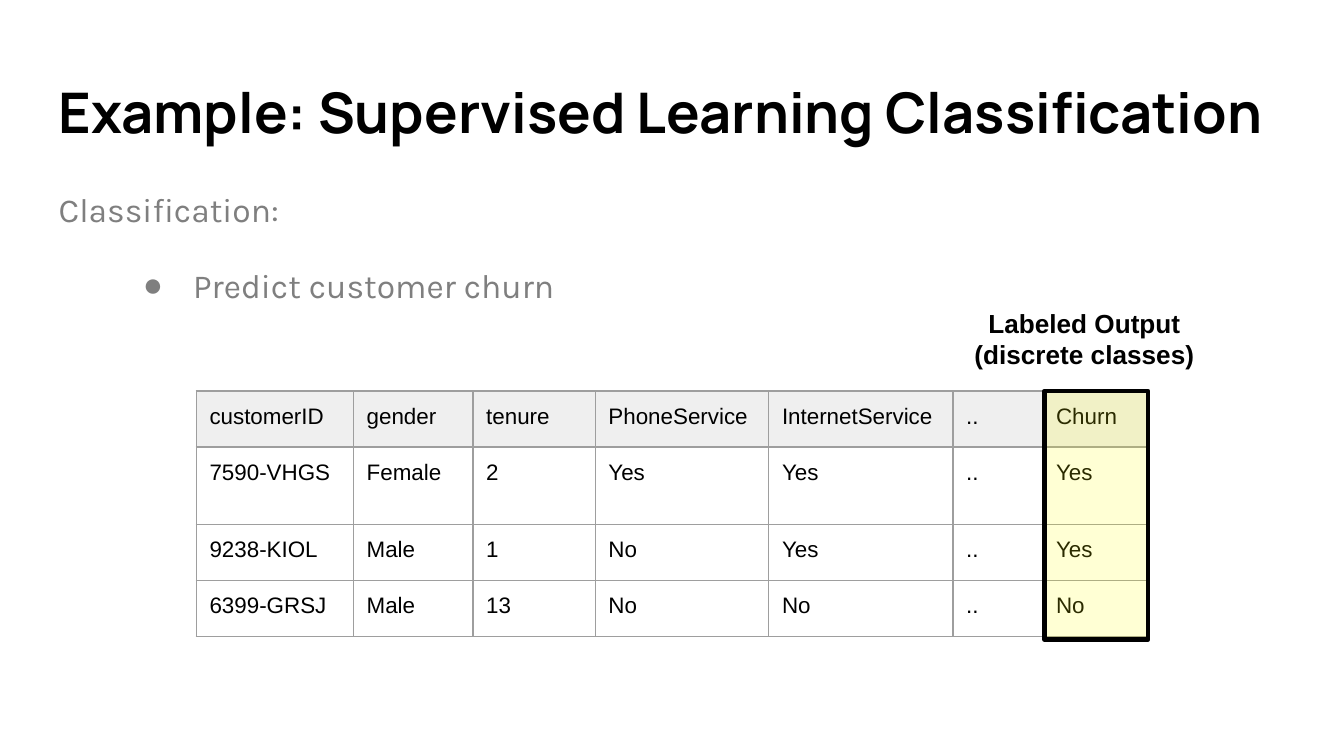
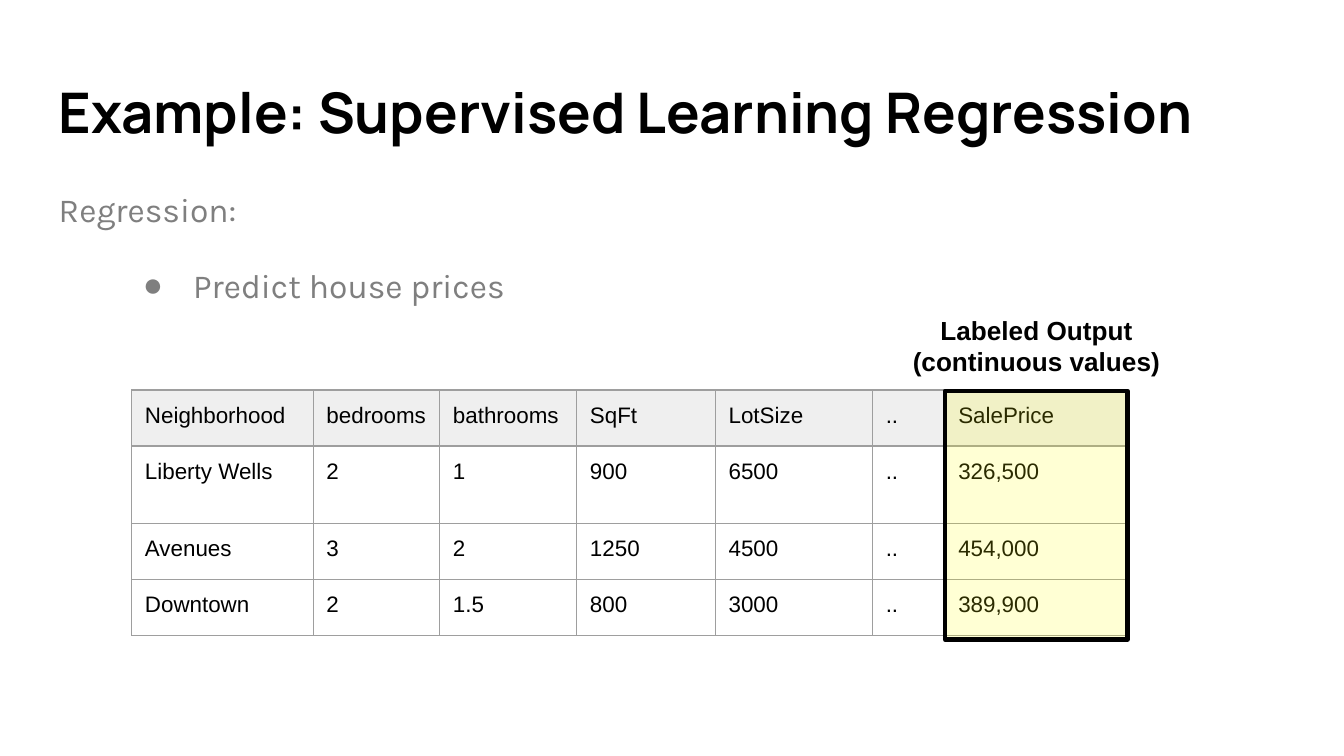
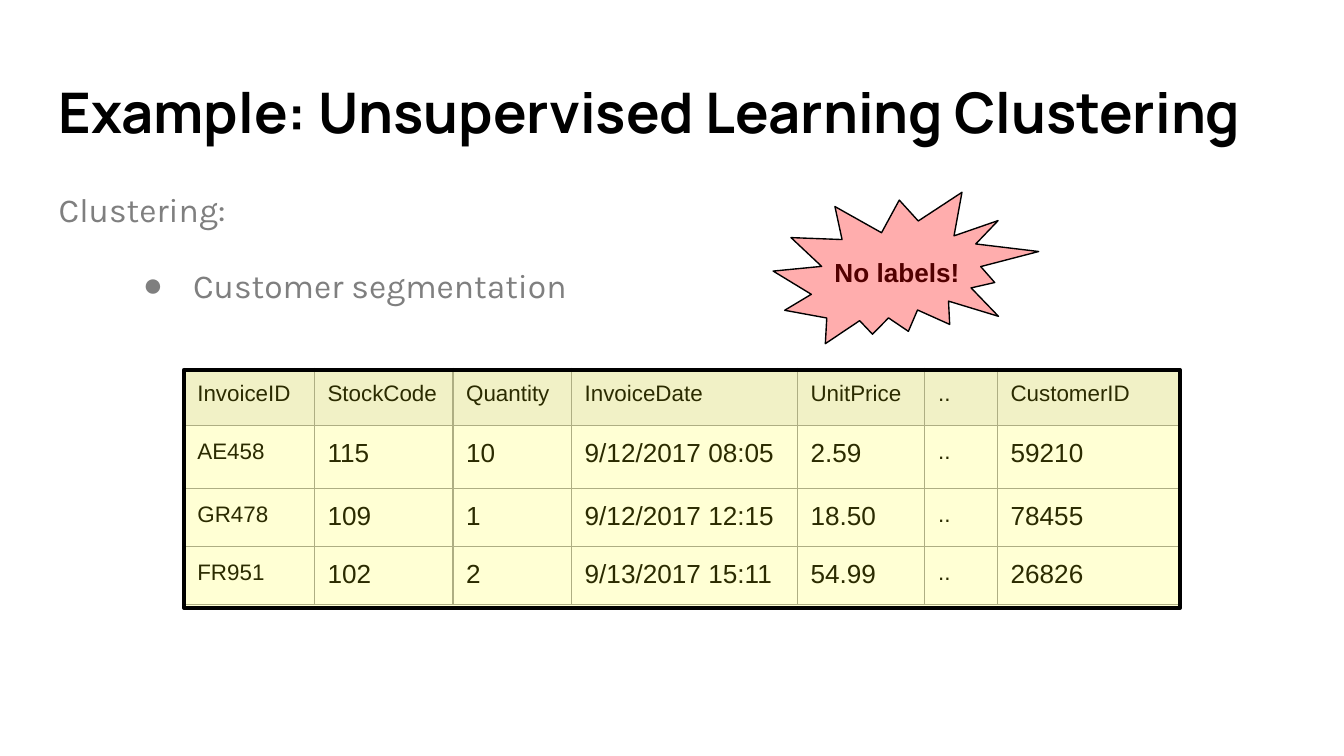
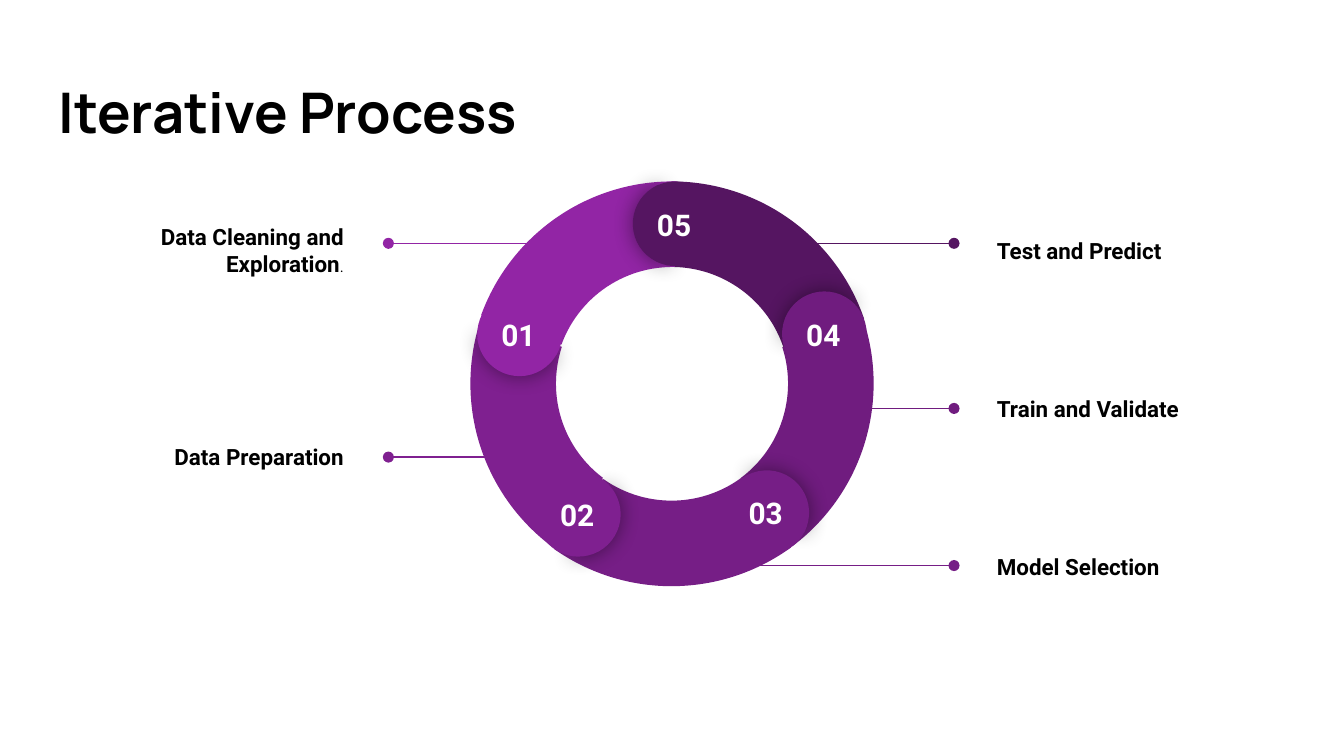
"""Build four slides on learning types and the iterative process."""
import lxml.etree
import pptx
import pptx.dml.color
import pptx.enum.dml
import pptx.enum.shapes
import pptx.enum.text
import pptx.oxml.ns
import pptx.util

Cm = pptx.util.Cm
Pt = pptx.util.Pt
RGB = pptx.dml.color.RGBColor.from_string
Shape = pptx.enum.shapes.MSO_SHAPE
Align = pptx.enum.text.PP_ALIGN
Anchor = pptx.enum.text.MSO_ANCHOR
qn = pptx.oxml.ns.qn
sub = lxml.etree.SubElement

theme = {
    "black": "000000", "white": "FFFFFF", "grey": "7F7F7F",
    "head": "EFEFEF", "grid": "9E9E9E", "mark": "FFFF00", "burst": "FF0000",
    "steps": ["9225A5", "7F2090", "761E86", "701C7F", "551561"],
    "title": (30, "Manrope", "000000", True),
    "body": (18, "Karla", "7F7F7F", False),
    "cell": (12, "Arial", "000000", False),
    "large": (14, "Arial", "000000", False),
    "label": (14, "Arial", "000000", True),
    "step": (12, "Roboto", "000000", True),
    "dot": (8, "Roboto", "000000", False),
    "count": (16, "Roboto", "FFFFFF", True),
}


def box(left, top, width, height):
    return Cm(left), Cm(top), Cm(width), Cm(height)


def write(frame, text, kind, align=Align.LEFT, anchor=Anchor.TOP):
    size, face, color, bold = theme[kind]
    frame.text = text
    frame.word_wrap = True
    frame.auto_size = pptx.enum.text.MSO_AUTO_SIZE.NONE
    frame.vertical_anchor = anchor
    frame.margin_left = frame.margin_right = Cm(0.25)
    frame.margin_top = frame.margin_bottom = Cm(0.25)
    for para in frame.paragraphs:
        para.alignment = align
        for run in para.runs:
            run.font.size = Pt(size)
            run.font.name = face
            run.font.bold = bold
            run.font.color.rgb = RGB(color)


deck = pptx.Presentation()
deck.slide_width, deck.slide_height = Cm(25.4), Cm(14.29)

lessons = [
    {
        "title": "Example: Supervised Learning Classification",
        "body": "Classification:\nPredict customer churn",
        "at": (3.71, 7.39),
        "cols": [2.97, 2.26, 2.31, 3.28, 3.48, 1.7, 1.96],
        "rows": [1.06, 1.46, 1.06, 1.06],
        "data": [
            ["customerID", "gender", "tenure", "PhoneService", "InternetService", "..", "Churn"],
            ["7590-VHGS", "Female", "2", "Yes", "Yes", "..", "Yes"],
            ["9238-KIOL", "Male", "1", "No", "Yes", "..", "Yes"],
            ["6399-GRSJ", "Male", "13", "No", "No", "..", "No"],
        ],
        "large": [],
        "mark": (19.74, 7.39, 1.96, 4.7),
        "label": "Labeled Output\n(discrete classes)",
        "place": (18.03, 5.56, 4.93, 1.45),
        "align": Align.CENTER,
    },
    {
        "title": "Example: Supervised Learning Regression",
        "body": "Regression:\nPredict house prices",
        "at": (2.49, 7.37),
        "cols": [3.43, 2.39, 2.59, 2.62, 2.97, 1.37, 3.45],
        "rows": [1.06, 1.46, 1.06, 1.06],
        "data": [
            ["Neighborhood", "bedrooms", "bathrooms", "SqFt", "LotSize", "..", "SalePrice"],
            ["Liberty Wells", "2", "1", "900", "6500", "..", "326,500"],
            ["Avenues", "3", "2", "1250", "4500", "..", "454,000"],
            ["Downtown", "2", "1.5", "800", "3000", "..", "389,900"],
        ],
        "large": [],
        "mark": (17.86, 7.39, 3.45, 4.7),
        "label": "Labeled Output\n(continuous values)",
        "place": (16.81, 5.69, 5.56, 1.45),
        "align": Align.CENTER,
    },
    {
        "title": "Example: Unsupervised Learning Clustering",
        "body": "Clustering:\nCustomer segmentation",
        "at": (3.48, 6.96),
        "cols": [2.46, 2.62, 2.24, 4.27, 2.41, 1.37, 3.45],
        "rows": [1.09, 1.19, 1.09, 1.09],
        "data": [
            ["InvoiceID", "StockCode", "Quantity", "InvoiceDate", "UnitPrice", "..", "CustomerID"],
            ["AE458", "115", "10", "9/12/2017 08:05", "2.59", "..", "59210"],
            ["GR478", "109", "1", "9/12/2017 12:15", "18.50", "..", "78455"],
            ["FR951", "102", "2", "9/13/2017 15:11", "54.99", "..", "26826"],
        ],
        "large": [1, 2, 3, 4, 6],
        "mark": (3.48, 6.99, 18.82, 4.5),
        "label": "No labels!",
        "place": (15.52, 4.6, 3.33, 0.74),
        "align": Align.LEFT,
        "burst": (14.63, 3.53, 4.95, 3.12),
    },
    {"title": "Iterative Process"},
]

for lesson in lessons:
    slide = deck.slides.add_slide(deck.slide_layouts[1 if "body" in lesson else 5])
    title = slide.shapes.title
    title.left, title.top, title.width, title.height = box(0.86, 1.24, 23.67, 1.73)
    write(title.text_frame, lesson["title"], "title", anchor=Anchor.MIDDLE)
    if "body" not in lesson:
        continue

    body = slide.placeholders[1]
    body.left, body.top, body.width, body.height = box(0.86, 3.2, 23.67, 9.5)
    write(body.text_frame, lesson["body"], "body")
    lead, point = body.text_frame.paragraphs
    for para, left, hang, gap in [(lead, 0, 0, 0), (point, 2.54, -0.95, 16)]:
        props = para._p.get_or_add_pPr()
        props.set("marL", str(Cm(left)))
        props.set("indent", str(Cm(hang)))
        if hang:
            tint = sub(props, qn("a:buClr"))
            sub(tint, qn("a:srgbClr"), val=theme["grey"])
            sub(props, qn("a:buChar"), char="●")
        else:
            sub(props, qn("a:buNone"))
        para.line_spacing = 1.15
        para.space_before = Pt(gap)

    cols, rows = lesson["cols"], lesson["rows"]
    place = box(*lesson["at"], sum(cols), sum(rows))
    table = slide.shapes.add_table(len(rows), len(cols), *place).table
    table.first_row = table.horz_banding = False
    for col, width in zip(table.columns, cols):
        col.width = Cm(width)
    for r, (row, height) in enumerate(zip(table.rows, rows)):
        row.height = Cm(height)
        for c, cell in enumerate(row.cells):
            kind = "large" if r and c in lesson["large"] else "cell"
            write(cell.text_frame, lesson["data"][r][c], kind)
            cell.margin_left = cell.margin_right = Cm(0.25)
            cell.margin_top = cell.margin_bottom = Cm(0.25)
            props = cell._tc.get_or_add_tcPr()
            for side in ("a:lnL", "a:lnR", "a:lnT", "a:lnB"):
                edge = sub(props, qn(side), w=str(Pt(0.75)))
                tint = sub(edge, qn("a:solidFill"))
                sub(tint, qn("a:srgbClr"), val=theme["grid"])
            if r:
                cell.fill.background()
            else:
                cell.fill.solid()
                cell.fill.fore_color.rgb = RGB(theme["head"])

    veils = [("mark", Shape.RECTANGLE, 17, 2.25, 0), ("burst", Shape.EXPLOSION2, 32, 0.75, 6.1)]
    for name, form, alpha, weight, turn in veils:
        if name == "burst":
            label = slide.shapes.add_textbox(*box(*lesson["place"]))
            write(label.text_frame, lesson["label"], "label", lesson["align"])
        if name not in lesson:
            continue
        veil = slide.shapes.add_shape(form, *box(*lesson[name]))
        veil.rotation = turn
        veil.shadow.inherit = False
        veil.fill.solid()
        veil.fill.fore_color.rgb = RGB(theme[name])
        tint = veil.element.spPr.find(".//" + qn("a:srgbClr"))
        sub(tint, qn("a:alpha"), val=str(alpha * 1000))
        veil.line.color.rgb = RGB(theme["black"])
        veil.line.width = Pt(weight)

steps = [
    ("Data Cleaning and Exploration", 0.86, 3.45, 10.74, 7.34, 4.6),
    ("Data Preparation", 0.86, 7.34, 9.93, 7.34, 8.64),
    ("Model Selection", 18.59, 9.42, 12.93, 18.03, 10.69),
    ("Train and Validate", 18.59, 6.43, 15.6, 18.03, 7.72),
    ("Test and Predict", 18.59, 3.45, 14.48, 18.03, 4.6),
]
for (text, left, top, start, end, level), color in zip(steps, theme["steps"]):
    line = slide.shapes.add_connector(
        pptx.enum.shapes.MSO_CONNECTOR.STRAIGHT, Cm(start), Cm(level), Cm(end), Cm(level))
    line.line.color.rgb = RGB(color)
    line.line.width = Pt(0.75)
    sub(line.element.spPr.find(qn("a:ln")), qn("a:tailEnd"), type="oval")
    sub(line.element.spPr, qn("a:effectLst"))
    label = slide.shapes.add_textbox(*box(left, top, 5.89, 2.57))
    align = Align.RIGHT if end < start else Align.LEFT
    write(label.text_frame, text, "step", align, Anchor.MIDDLE)
    if text == steps[0][0]:
        size, face, color, bold = theme["dot"]
        dot = label.text_frame.paragraphs[0].add_run()
        dot.text = "."
        dot.font.size, dot.font.name, dot.font.bold = Pt(size), face, bold
        dot.font.color.rgb = RGB(color)

arcs = [(8.86, 3.43, 350), (8.89, 3.4, 277), (8.84, 3.38, 204), (8.81, 3.4, 132), (8.84, 3.43, 60)]
caps = [(9.02, 5.51, 284.1), (10.13, 8.92, 211.1), (13.69, 8.89, 139.1),
        (14.78, 5.51, 67.1), (11.96, 3.43, 357.1)]
layers = [("arc", 2), ("arc", 4), ("arc", 5), ("cap", 4), ("arc", 3),
          ("cap", 2), ("arc", 1), ("cap", 5), ("cap", 3), ("cap", 1)]
for kind, step in layers:
    if kind == "arc":
        left, top, turn = arcs[step - 1]
        parts = [(Shape.BLOCK_ARC, 7.7, turn, (126.03, 168.68, 0.21), False)]
    else:
        left, top, turn = caps[step - 1]
        parts = [(Shape.PIE, 1.6, turn, (61.9, 149.96), True),
                 (Shape.PIE, 1.6, turn + 179.3, (40.28, 171.84), False)]
    for form, size, angle, bends, shade in parts:
        part = slide.shapes.add_shape(form, *box(left, top, size, size))
        part.rotation = angle % 360
        for i, bend in enumerate(bends):
            part.adjustments[i] = bend
        part.fill.solid()
        part.fill.fore_color.rgb = RGB(theme["steps"][step - 1])
        part.line.fill.background()
        part.shadow.inherit = False
        if shade:
            glow = sub(part.element.spPr.find(qn("a:effectLst")), qn("a:outerShdw"),
                       blurRad=str(Pt(11.2)), dist="0", dir="0", algn="ctr", rotWithShape="0")
            tint = sub(glow, qn("a:srgbClr"), val=theme["black"])
            sub(tint, qn("a:alpha"), val="43000")

for step, (left, top, turn) in enumerate(caps, 1):
    count = slide.shapes.add_textbox(*box(left + 0.07, top + 0.22, 1.42, 0.74))
    write(count.text_frame, f"{step:02}", "count", Align.CENTER)

deck.save("out.pptx")
